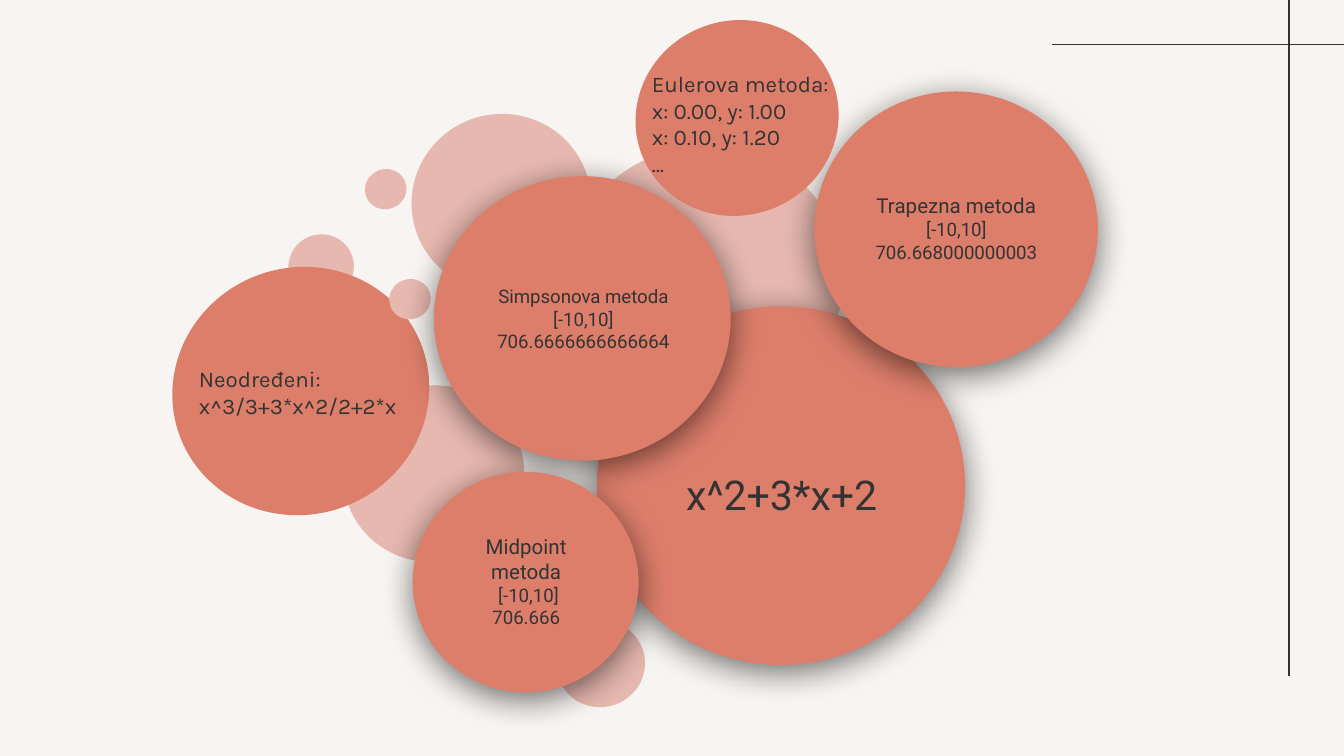
"""Build a slide of bubbles showing numerical integration results."""
from lxml import etree
from pptx import Presentation
from pptx import util as u
from pptx.dml.color import RGBColor
from pptx.enum import shapes, text
from pptx.oxml import ns

COLORS = {"paper": "F7F4F1", "ink": "333333", "coral": "DD7E6B",
          "blush": "E6B8AF", "shadow": "000000"}

BACKDROP = [
    ((10.54, 11.71, 1.63, 1.68), "blush"),
    ((5.46, 4.42, 1.22, 1.24), "blush"),
    ((6.53, 7.24, 3.33, 3.43), "blush"),
    ((10.74, 2.67, 5.11, 5.31), "blush"),
    ((3.35, 4.95, 4.67, 4.88), "coral"),
    ((7.37, 5.26, 0.76, 0.79), "blush"),
]

BUBBLES = [
    ((11.28, 5.79, 6.96, 6.78), (12.12, 7.72, 5.31, 3.23),
     [[("x^2+3*x+2", 22)]]),
    ((8.2, 3.33, 5.61, 5.38), (9.12, 4.24, 3.81, 3.58),
     [[("Simpsonova metoda [-10,10]", 10)], [("706.6666666666664", 10)]]),
    ((7.8, 8.92, 4.27, 4.17), (8.41, 9.68, 3.07, 2.62),
     [[("Midpoint metoda", 11)], [(" [-10,10]", 10)], [("706.666", 10)]]),
    ((15.39, 1.73, 5.36, 5.21), (16.26, 2.59, 3.63, 3.45),
     [[("Trapezna metoda", 11), (" [-10,10]", 10)],
      [("706.668000000003", 10)]]),
]

NOTES = [
    ((12.07, 1.07, 3.92, 0.97),
     ["Eulerova metoda:", "x: 0.00, y: 1.00", "x: 0.10, y: 1.20", "…"]),
    ((3.51, 6.65, 4.39, 0.97), ["Neodređeni:", "x^3/3+3*x^2/2+2*x"]),
]


def rgb(name):
    return RGBColor.from_string(COLORS[name])


def cm(lengths):
    return [u.Cm(length) for length in lengths]


def add_filled(parent, kind, box, color, rotation=0):
    filled = parent.shapes.add_shape(kind, *cm(box))
    filled.shadow.inherit = False
    filled.fill.solid()
    filled.fill.fore_color.rgb = rgb(color)
    filled.line.fill.background()
    filled.rotation = rotation
    return filled


def add_circle(parent, box, color, rotation=0):
    return add_filled(parent, shapes.MSO_SHAPE.OVAL, box, color, rotation)


def cast_shadow(circle):
    effects = circle._element.spPr.find(ns.qn("a:effectLst"))
    outer = etree.SubElement(
        effects, ns.qn("a:outerShdw"), blurRad=str(u.Pt(18)),
        dist=str(u.Pt(4)), dir="5400000", algn="bl", rotWithShape="0")
    tint = etree.SubElement(outer, ns.qn("a:srgbClr"), val=COLORS["shadow"])
    etree.SubElement(tint, ns.qn("a:alpha"), val="55000")


def write(holder, lines, font, align, anchor):
    frame = holder.text_frame
    frame.word_wrap = True
    frame.vertical_anchor = anchor
    frame.margin_left = frame.margin_right = u.Cm(0.25)
    frame.margin_top = frame.margin_bottom = u.Cm(0.25)
    for index, line in enumerate(lines):
        paragraph = frame.add_paragraph() if index else frame.paragraphs[0]
        paragraph.alignment = align
        for words, size in line:
            run = paragraph.add_run()
            run.text = words
            run.font.name = font
            run.font.size = u.Pt(size)
            run.font.color.rgb = rgb("ink")


def add_bubble(slide, circle_box, label_box, lines):
    bubble = slide.shapes.add_group_shape()
    cast_shadow(add_circle(bubble, circle_box, "coral"))
    label = add_filled(bubble, shapes.MSO_SHAPE.RECTANGLE, label_box, "coral")
    write(label, lines, "Roboto", text.PP_ALIGN.CENTER, text.MSO_ANCHOR.MIDDLE)


def add_note(slide, box, lines):
    note = slide.shapes.add_textbox(*cm(box))
    write(note, [[(line, 12)] for line in lines], "Karla",
          text.PP_ALIGN.LEFT, text.MSO_ANCHOR.TOP)


def add_rule(slide, ends):
    rule = slide.shapes.add_connector(shapes.MSO_CONNECTOR.STRAIGHT, *cm(ends))
    rule.line.color.rgb = rgb("ink")
    rule.line.width = u.Pt(0.75)
    etree.SubElement(rule._element.spPr, ns.qn("a:effectLst"))


def main():
    deck = Presentation()
    deck.slide_width, deck.slide_height = cm((25.4, 14.29))
    slide = deck.slides.add_slide(deck.slide_layouts[6])
    slide.background.fill.solid()
    slide.background.fill.fore_color.rgb = rgb("paper")

    for ends in [(19.89, 0.84, 25.4, 0.84), (24.36, 12.78, 24.36, 0)]:
        add_rule(slide, ends)

    add_circle(slide, (7.8, 2.13, 3.35, 3.4), "blush", 249.5)
    backdrop = slide.shapes.add_group_shape()
    for box, color in BACKDROP:
        add_circle(backdrop, box, color, 250)
    for bubble in BUBBLES:
        add_bubble(slide, *bubble)
    add_circle(slide, (12.09, 0.3, 3.68, 3.86), "coral", 249.5)
    add_circle(slide, (6.91, 3.18, 0.76, 0.79), "blush", 249.5)
    for note in NOTES:
        add_note(slide, *note)

    deck.save("out.pptx")


if __name__ == "__main__":
    main()
